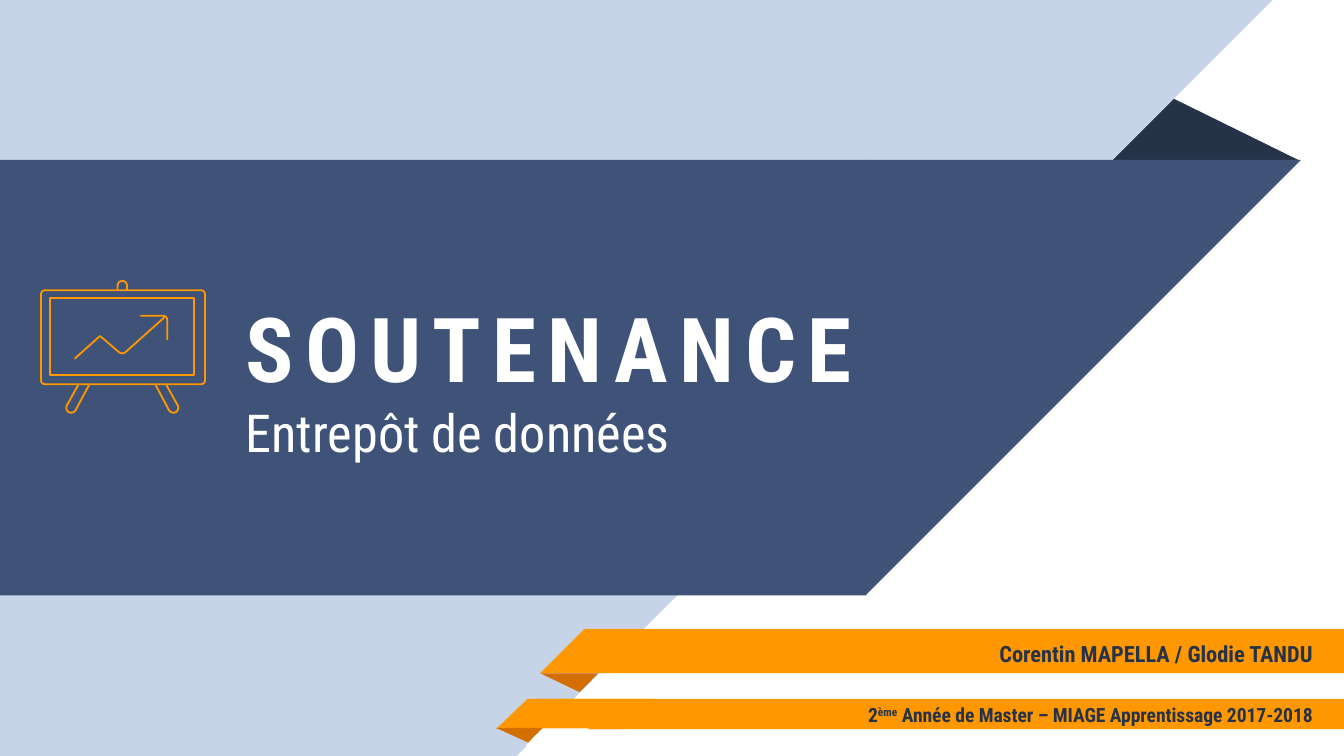
from dataclasses import dataclass
from math import cos, radians, sin

from pptx import Presentation
from pptx.dml.color import RGBColor
from pptx.enum.shapes import MSO_SHAPE
from pptx.enum.text import MSO_ANCHOR, PP_ALIGN
from pptx.util import Inches, Pt

COLS, ROWS = 1000, 562.5  # slide grid
CELL = Inches(0.01)
LAP = 0.5  # overlap that hides the seam between joined shapes


@dataclass(frozen=True)
class Theme:
    font: str = "Roboto Condensed"
    white: str = "FFFFFF"
    pale: str = "C7D3E6"
    blue: str = "3F5378"
    navy: str = "263248"
    orange: str = "FF9800"
    rust: str = "D26F00"
    title: float = 48
    sub: float = 28
    name: float = 12
    year: float = 10.5
    line: float = 0.96


THEME = Theme()


def color(code):
    return RGBColor.from_string(code)


def cells(*box):
    return [round(n * CELL) for n in box]


def block(slide, kind, box, fill, turn=0, flip=False, adj=None):
    shape = slide.shapes.add_shape(kind, *cells(*box))
    shape.shadow.inherit = False
    shape.fill.solid()
    shape.fill.fore_color.rgb = color(fill)
    shape.line.fill.background()
    shape.rotation = turn
    if flip:
        shape.element.spPr.xfrm.set("flipH", "1")
    if adj is not None:
        shape.adjustments[0] = adj


def frame(slide, box, align):
    text = slide.shapes.add_textbox(*cells(*box)).text_frame
    style = {"word_wrap": True, "vertical_anchor": MSO_ANCHOR.MIDDLE}
    style |= {f"margin_{side}": Inches(0.1) for side in ("left", "top", "right", "bottom")}
    for key, value in style.items():
        setattr(text, key, value)
    para = text.paragraphs[0]
    para.alignment = align
    return para


def write(para, words, size, ink, bold=True, **extra):
    """Add a run; extra holds raw run attributes such as spc or baseline."""
    run = para.add_run()
    run.text = words
    style = {"name": THEME.font, "size": Pt(size), "bold": bold}
    for key, value in style.items():
        setattr(run.font, key, value)
    run.font.color.rgb = color(ink)
    for key, value in extra.items():
        run.font._element.set(key, str(value))


def wedge(slide, box, fill):
    """Band whose right end is cut at 45 degrees."""
    x, y, w, h = box
    block(slide, MSO_SHAPE.RECTANGLE, (x, y, w - h + LAP, h), fill)
    block(slide, MSO_SHAPE.RIGHT_TRIANGLE, (x + w - h, y, h, h), fill, 180, True)


def arc(x, y, r, start, end, steps=8):
    angles = [radians(start + (end - start) * i / steps) for i in range(steps + 1)]
    return [(x + r * cos(a), y + r * sin(a)) for a in angles]


def board(slide, box):
    """Flip chart icon, drawn on a field 1220 units wide."""
    x, y, w, _ = box
    r = 30
    rim = (arc(r, 70 + r, r, 180, 270) + arc(1220 - r, 70 + r, r, 270, 360)
           + arc(1220 - r, 770 - r, r, 0, 90) + arc(r, 770 - r, r, 90, 180))
    knob = [(640, 70), *arc(605, 35, 35, 0, -180), (570, 70)]
    leg = [(280, 770), *arc(225, 945, 37, 200, 30), (360, 770)]
    twin = [(1210 - px, py) for px, py in leg]
    pane = [(70, 130), (70, 700), (1140, 700), (1140, 130)]
    trend = [(920, 270), *arc(605, 505, 35, 45, 135), (440, 410), (250, 580)]
    tip = [(740, 260), *arc(910, 290, 30, -90, 0), (940, 440)]
    strokes = [(rim, True), (knob, False), (leg, False), (twin, False),
               (pane, True), (trend, False), (tip, False)]
    for points, close in strokes:
        pen = slide.shapes.build_freeform(*points[0], scale=w * CELL / 1220)
        pen.add_line_segments(points[1:], close=close)
        shape = pen.convert_to_shape(*cells(x, y))
        shape.shadow.inherit = False
        shape.fill.background()
        shape.line.color.rgb = color(THEME.orange)
        shape.line.width = Pt(THEME.line)


def banner(slide, box):
    x, y, w, h = box
    wedge(slide, box, THEME.blue)
    para = frame(slide, (x + 173, y, 595, h), PP_ALIGN.LEFT)
    write(para, "SOUTENANCE", THEME.title, THEME.white, spc=600)
    para.add_line_break()
    write(para, "Entrepôt de données", THEME.sub, THEME.white, bold=False)
    board(slide, (x + 30.5, y + 90, 122, 98))


def label(slide, box, width, rise):
    """Right-aligned text line that starts a little above its ribbon."""
    x, y, w, _ = box
    return frame(slide, (x + w - 13 - width, y - rise, width, 50), PP_ALIGN.RIGHT)


def names(slide, box):
    x, y, w, h = box
    block(slide, MSO_SHAPE.ISOSCELES_TRIANGLE, (x, y + h, 43, 14), THEME.rust, 180, adj=0.32)
    block(slide, MSO_SHAPE.RECTANGLE, (x + h - LAP, y, w - h + LAP, h), THEME.orange)
    block(slide, MSO_SHAPE.RIGHT_TRIANGLE, (x, y, h, h), THEME.orange, flip=True)
    para = label(slide, box, 501, 7)
    write(para, "Corentin MAPELLA / Glodie TANDU", THEME.name, THEME.navy)


def year(slide, box):
    x, y, w, h = box
    slant = MSO_SHAPE.FLOWCHART_DATA
    block(slide, MSO_SHAPE.RECTANGLE, (x + 29, y, w - 29, h), THEME.orange)
    block(slide, slant, (x, y, 118, h), THEME.orange)
    block(slide, MSO_SHAPE.RIGHT_TRIANGLE, (x, y + h - 1, 35, 16), THEME.rust, 180)
    for dx, dy in ((22, 26), (26, 22), (18, 32)):
        block(slide, slant, (x + dx, y + dy, 43, 9), THEME.white)
    para = label(slide, box, 422, 13)
    write(para, "2", THEME.year, THEME.navy)
    write(para, "ème", THEME.year, THEME.navy, baseline=30000)
    write(para, " Année de Master – MIAGE Apprentissage 2017-2018", THEME.year, THEME.navy)


def main():
    deck = Presentation()
    deck.slide_width, deck.slide_height = cells(COLS, ROWS)
    slide = deck.slides.add_slide(deck.slide_layouts[6])
    block(slide, MSO_SHAPE.ISOSCELES_TRIANGLE, (825, 72, 142, 47.5), THEME.navy, adj=0.32)
    wedge(slide, (0, 0, 947, ROWS), THEME.pale)
    banner(slide, (0, 119, 968, 324))
    names(slide, (402, 468, COLS - 402, 33))
    year(slide, (369, 520, COLS - 369, 22.5))
    deck.save("out.pptx")


if __name__ == "__main__":
    main()
